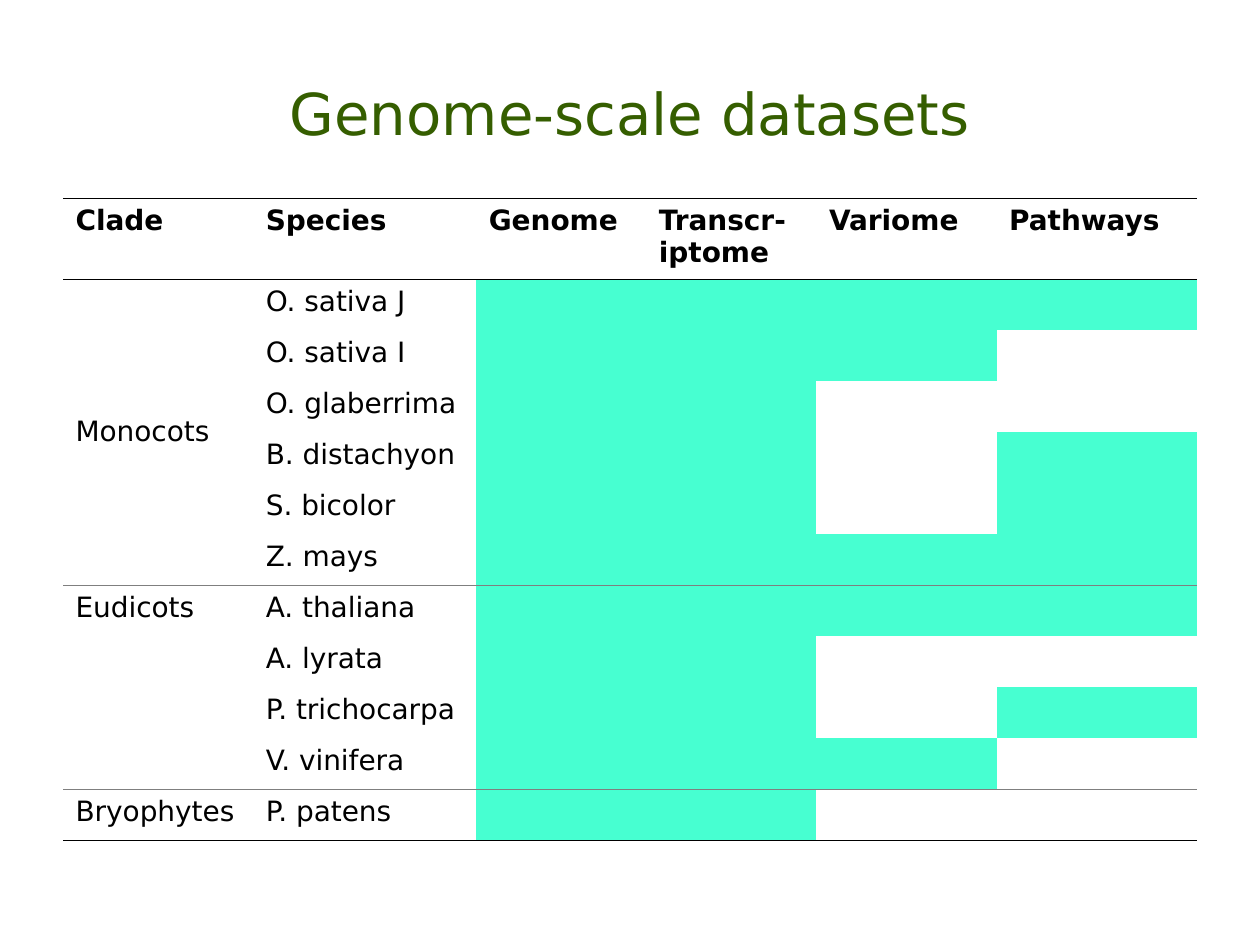
import pptx
import pptx.dml.color
import pptx.enum.text
import pptx.oxml
import pptx.oxml.ns
import pptx.util

FONT = "DejaVu Sans"
BLACK, GRAY, GREEN, MINT = "000000", "7F7F7F", "355E00", "47FFD1"

COLUMNS = {"Clade": 1.51, "Species": 1.77, "Genome": 1.35,
           "Transcr-iptome": 1.35, "Variome": 1.43, "Pathways": 1.59}
HEADER_HEIGHT, ROW_HEIGHT = 0.64, 0.405

# Each species has one mark per dataset column: x = available
CLADES = {
    "Monocots": {"O. sativa J": "xxxx", "O. sativa I": "xxx-",
                 "O. glaberrima": "xx--", "B. distachyon": "xx-x",
                 "S. bicolor": "xx-x", "Z. mays": "xxxx"},
    "Eudicots": {"A. thaliana": "xxxx", "A. lyrata": "xx--",
                 "P. trichocarpa": "xx-x", "V. vinifera": "xxx-"},
    "Bryophytes": {"P. patens": "xx--"},
}


def color(value):
    return pptx.dml.color.RGBColor.from_string(value)


class SlideBuilder:
    """Holds the style and the slide; positions are shares of the slide."""

    def __init__(self, deck):
        self.deck = deck
        self.page = deck.slides.add_slide(deck.slide_layouts[6])

    def area(self, left, top, width, height):
        across, down = self.deck.slide_width, self.deck.slide_height
        return (round(left * across), round(top * down),
                round(width * across), round(height * down))

    def add_span(self, para, text, size, ink=BLACK, bold=False):
        span = para.add_run()
        span.text = text
        span.font.name = FONT
        span.font.size = pptx.util.Pt(size)
        span.font.bold = bold
        span.font.color.rgb = color(ink)

    def title(self, text, left, top, width, height):
        box = self.page.shapes.add_textbox(*self.area(left, top, width, height))
        frame = box.text_frame
        frame.word_wrap = True
        frame.vertical_anchor = pptx.enum.text.MSO_ANCHOR.MIDDLE
        frame.margin_left = frame.margin_right = 0
        frame.margin_top = frame.margin_bottom = 0
        para = frame.paragraphs[0]
        para.alignment = pptx.enum.text.PP_ALIGN.CENTER
        para.line_spacing = 0.85
        self.add_span(para, text, 33, GREEN)

    def cell(self, cell, text="", fill=None, top=None, bottom=None, bold=False):
        # Borders come before the fill in the cell properties
        properties = cell._tc.get_or_add_tcPr()
        for side, ink in (("L", None), ("R", None), ("T", top), ("B", bottom)):
            paint = (f'<a:solidFill><a:srgbClr val="{ink}"/></a:solidFill>'
                     if ink else "<a:noFill/>")
            properties.append(pptx.oxml.parse_xml(
                f'<a:ln{side} {pptx.oxml.ns.nsdecls("a")} '
                f'w="{pptx.util.Pt(0.45)}">{paint}</a:ln{side}>'))
        if fill:
            cell.fill.solid()
            cell.fill.fore_color.rgb = color(fill)
        else:
            cell.fill.background()
        para = cell.text_frame.paragraphs[0]
        para.font.size = pptx.util.Pt(16)
        if text:
            self.add_span(para, text, 16, bold=bold)

    def dataset_table(self, left, top, width, height):
        row_count = 1 + sum(len(species) for species in CLADES.values())
        table = self.page.shapes.add_table(
            row_count, len(COLUMNS), *self.area(left, top, width, height)).table
        table.first_row = table.horz_banding = False
        for column, inches in zip(table.columns, COLUMNS.values()):
            column.width = pptx.util.Inches(inches)
        for index, row in enumerate(table.rows):
            row.height = pptx.util.Inches(ROW_HEIGHT if index else HEADER_HEIGHT)

        # Header
        for index, label in enumerate(COLUMNS):
            self.cell(table.cell(0, index), label, top=BLACK, bottom=BLACK, bold=True)

        # One block of rows per clade, ruled above and below
        first = 1
        for clade, species in CLADES.items():
            last = first + len(species) - 1
            for row, (name, marks) in enumerate(species.items(), first):
                rules = {
                    "top": (BLACK if row == 1 else GRAY) if row == first else None,
                    "bottom": (BLACK if row == row_count - 1 else GRAY)
                    if row == last else None,
                }
                self.cell(table.cell(row, 0), clade if row == first else "", **rules)
                self.cell(table.cell(row, 1), name, **rules)
                for index, mark in enumerate(marks, 2):
                    self.cell(table.cell(row, index),
                              fill=MINT if mark == "x" else None, **rules)
            if last > first:
                table.cell(first, 0).merge(table.cell(last, 0))
            first = last + 1
        table.cell(1, 0).vertical_anchor = pptx.enum.text.MSO_ANCHOR.MIDDLE


def main():
    deck = pptx.Presentation()
    deck.slide_width = pptx.util.Inches(10)
    deck.slide_height = pptx.util.Inches(7.5)
    builder = SlideBuilder(deck)
    builder.title("Genome-scale datasets", 0.05, 0.04, 0.9, 0.17)
    builder.dataset_table(0.05, 0.21, 0.9, 0.68)
    deck.save("out.pptx")


if __name__ == "__main__":
    main()
